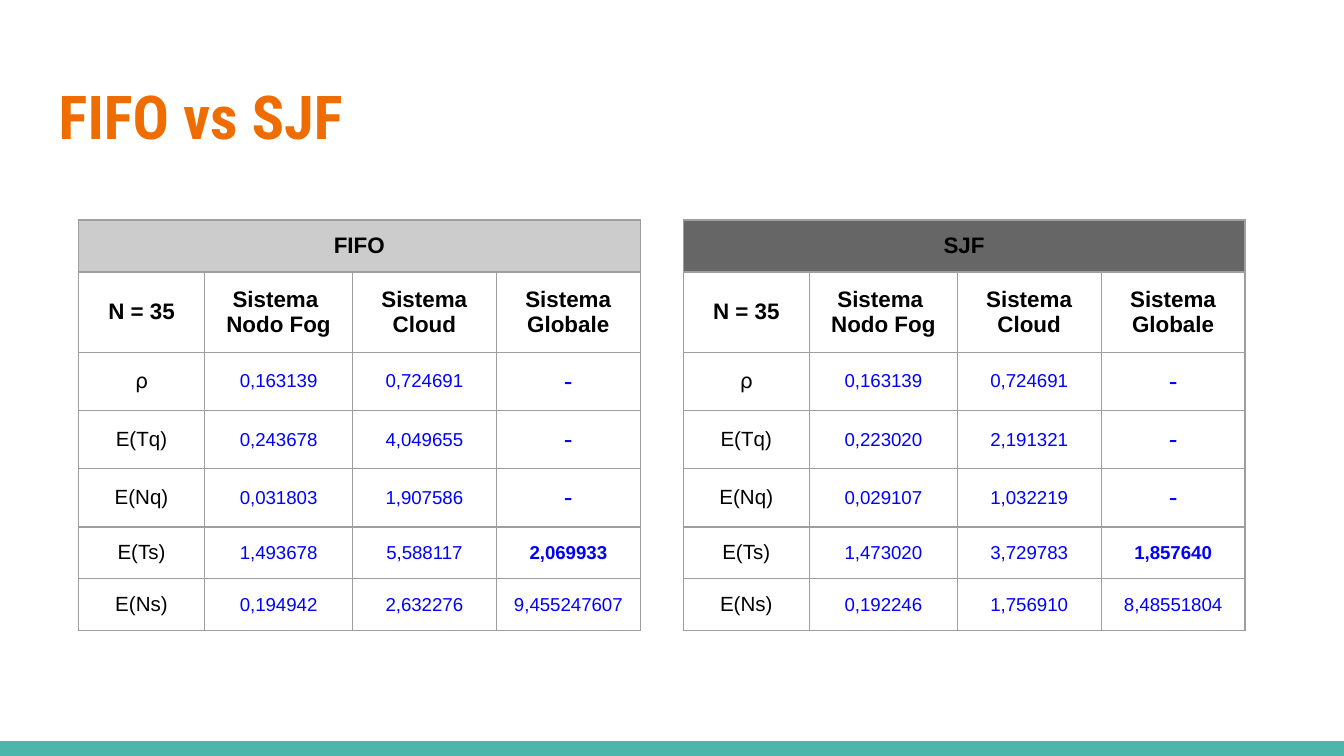
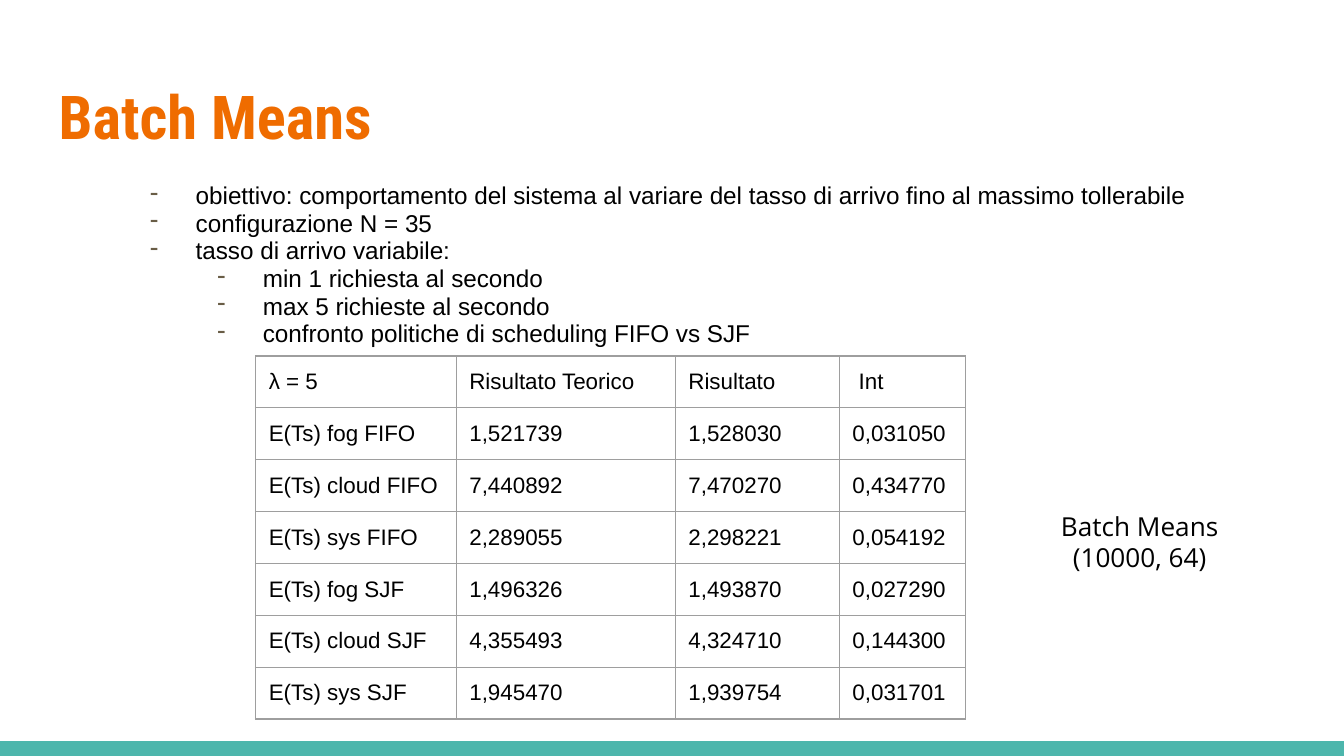
from lxml import etree
from pptx import Presentation
from pptx.dml.color import RGBColor
from pptx.enum import shapes, text
from pptx.oxml import ns
from pptx.util import Cm, Pt

ORANGE, TEAL, BLACK, BLUE = "EF6C00", "4DB6AC", "000000", "0000FF"
BORDER, BULLET = "9E9E9E", "695D46"
TITLE_FONT, BODY_FONT, NOTE_FONT = "Roboto Condensed", "Arial", "Open Sans"
INSET = Cm(0.25)
CENTER = text.PP_ALIGN.CENTER
TOP, MIDDLE = text.MSO_ANCHOR.TOP, text.MSO_ANCHOR.MIDDLE


def rgb(value):
    return RGBColor.from_string(value)


def set_margins(box):
    box.margin_left = box.margin_right = INSET
    box.margin_top = box.margin_bottom = INSET


def sub(parent, tag, **attrs):
    return etree.SubElement(parent, ns.qn(tag), **attrs)


class Deck:
    """Holds the shared style and the current slide."""

    def __init__(self):
        self.prs = Presentation()
        self.prs.slide_width, self.prs.slide_height = Cm(25.4), Cm(14.29)
        self.slide = None

    def new_slide(self, title):
        self.slide = self.prs.slides.add_slide(self.prs.slide_layouts[5])
        self.band()
        sp = self.slide.shapes.title
        self.place(sp, 0.86, 1.24, 23.67, 1.96)
        tf = self.frame(sp)
        tf.text = title
        self.style(tf.paragraphs[0], 32.4, ORANGE, TITLE_FONT, True, text.PP_ALIGN.LEFT)

    def band(self):
        sp = self.slide.shapes.add_shape(
            shapes.MSO_SHAPE.RECTANGLE, 0, Cm(14.01), self.prs.slide_width, Cm(0.28))
        sp.shadow.inherit = False
        sp.fill.solid()
        sp.fill.fore_color.rgb = rgb(TEAL)
        sp.line.fill.background()

    def place(self, sp, *box):
        sp.left, sp.top, sp.width, sp.height = map(Cm, box)

    def frame(self, sp):
        tf = sp.text_frame
        set_margins(tf)
        tf.word_wrap = True
        tf.auto_size = text.MSO_AUTO_SIZE.NONE
        tf.vertical_anchor = TOP
        return tf

    def style(self, p, size, color=BLACK, font=BODY_FONT, bold=False, align=None):
        p.alignment = align
        p.font.size, p.font.name, p.font.bold = Pt(size), font, bold
        p.font.color.rgb = rgb(color)

    def note(self, words, box):
        tf = self.frame(self.slide.shapes.add_textbox(*map(Cm, box)))
        tf.text = words
        self.style(tf.paragraphs[0], 14, font=NOTE_FONT, align=CENTER)

    def bullets(self, items, box):
        """Writes (level, words) pairs as a dashed list."""
        tf = self.frame(self.slide.shapes.add_textbox(*map(Cm, box)))
        for i, (level, words) in enumerate(items):
            p = tf.add_paragraph() if i else tf.paragraphs[0]
            p.text, p.level, p.line_spacing = words, level, 0.95
            pPr = p._p.get_or_add_pPr()
            pPr.set("marL", str(Cm(1.27 * (level + 1))))
            pPr.set("indent", str(Cm(-0.86)))
            sub(sub(pPr, "a:buClr"), "a:srgbClr", val=BULLET)
            sub(pPr, "a:buChar", char="-")
            self.style(p, 13)

    def table(self, rows, left, top, widths, heights, anchor, look):
        """look(row, column, words) gives the text style of a cell."""
        tbl = self.slide.shapes.add_table(
            len(rows), len(widths), Cm(left), Cm(top),
            Cm(sum(widths)), Cm(sum(heights))).table
        tbl.first_row = tbl.horz_banding = False
        for column, width in zip(tbl.columns, widths):
            column.width = Cm(width)
        for row, height in zip(tbl.rows, heights):
            row.height = Cm(height)
        for i in range(len(rows)):
            for j in range(len(widths)):
                cell = tbl.cell(i, j)
                self.border(cell)
                cell.fill.background()
                set_margins(cell)
                cell.vertical_anchor = anchor
                if j < len(rows[i]):
                    p = cell.text_frame.paragraphs[0]
                    p.text = rows[i][j]
                    self.style(p, **look(i, j, rows[i][j]))
        return tbl

    def border(self, cell):
        tcPr = cell._tc.get_or_add_tcPr()
        for side in "LRTB":
            ln = sub(tcPr, f"a:ln{side}", w=str(Pt(0.75)))
            sub(sub(ln, "a:solidFill"), "a:srgbClr", val=BORDER)

    def policy_table(self, name, fill, values, left):
        """Results of one scheduling policy, under a merged heading."""
        labels = ["⍴", "E(Tq)", "E(Nq)", "E(Ts)", "E(Ns)"]
        rows = [[name], ["N = 35", "Sistema \nNodo Fog", "Sistema\nCloud", "Sistema\nGlobale"]]
        rows += [[label, *row] for label, row in zip(labels, values)]

        def look(i, j, words):
            if i < 2:
                return dict(size=12, bold=True, align=CENTER)
            if j == 0:
                return dict(size=11, align=CENTER)
            return dict(size=14 if words == "-" else 10, color=BLUE, align=CENTER,
                        bold=rows[i][0] == "E(Ts)" and j == 3)

        tbl = self.table(rows, left, 4.16, [2.39, 2.79, 2.72, 2.72],
                         [0.98, 1.52] + [1.1] * 3 + [0.98] * 2, MIDDLE, look)
        head = tbl.cell(0, 0)
        head.merge(tbl.cell(0, 3))
        head.fill.solid()
        head.fill.fore_color.rgb = rgb(fill)


def main():
    deck = Deck()

    deck.new_slide("FIFO vs SJF")
    deck.policy_table("FIFO", "CCCCCC", [
        ["0,163139", "0,724691", "-"],
        ["0,243678", "4,049655", "-"],
        ["0,031803", "1,907586", "-"],
        ["1,493678", "5,588117", "2,069933"],
        ["0,194942", "2,632276", "9,455247607"]], 1.48)
    deck.policy_table("SJF", "666666", [
        ["0,163139", "0,724691", "-"],
        ["0,223020", "2,191321", "-"],
        ["0,029107", "1,032219", "-"],
        ["1,473020", "3,729783", "1,857640"],
        ["0,192246", "1,756910", "8,48551804"]], 12.91)

    deck.new_slide("Batch Means")
    deck.bullets([
        (0, "obiettivo: comportamento del sistema al variare del tasso di arrivo "
            "fino al massimo tollerabile"),
        (0, "configurazione N = 35"),
        (0, "tasso di arrivo variabile:"),
        (1, "min 1 richiesta al secondo"),
        (1, "max 5 richieste al secondo"),
        (1, "confronto politiche di scheduling FIFO vs SJF")],
        (2.18, 3.2, 20.52, 3.53))
    batch_rows = [
        ["λ = 5", "Risultato Teorico", "Risultato", " Int"],
        ["E(Ts) fog FIFO", "1,521739", "1,528030", "0,031050"],
        ["E(Ts) cloud FIFO", "7,440892", "7,470270", "0,434770"],
        ["E(Ts) sys FIFO", "2,289055", "2,298221", "0,054192"],
        ["E(Ts) fog SJF", "1,496326", "1,493870", "0,027290"],
        ["E(Ts) cloud SJF", "4,355493", "4,324710", "0,144300"],
        ["E(Ts) sys SJF", "1,945470", "1,939754", "0,031701"]]
    deck.table(batch_rows, 4.83, 6.73, [3.79, 4.14, 3.1, 2.39],
               [0.98] * len(batch_rows), TOP, lambda i, j, words: dict(size=12))
    deck.note("Batch Means (10000, 64)", (18.95, 9.4, 5.18, 1.7))

    deck.prs.save("out.pptx")


if __name__ == "__main__":
    main()
